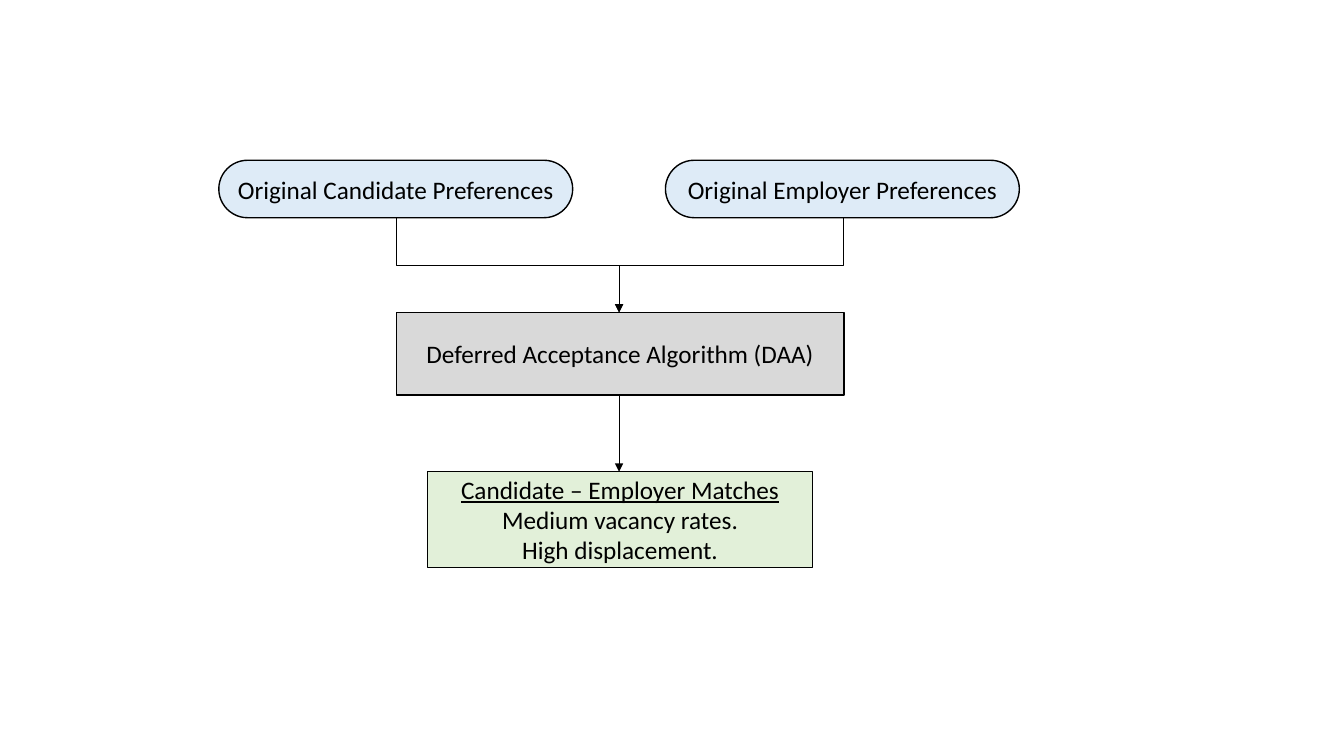
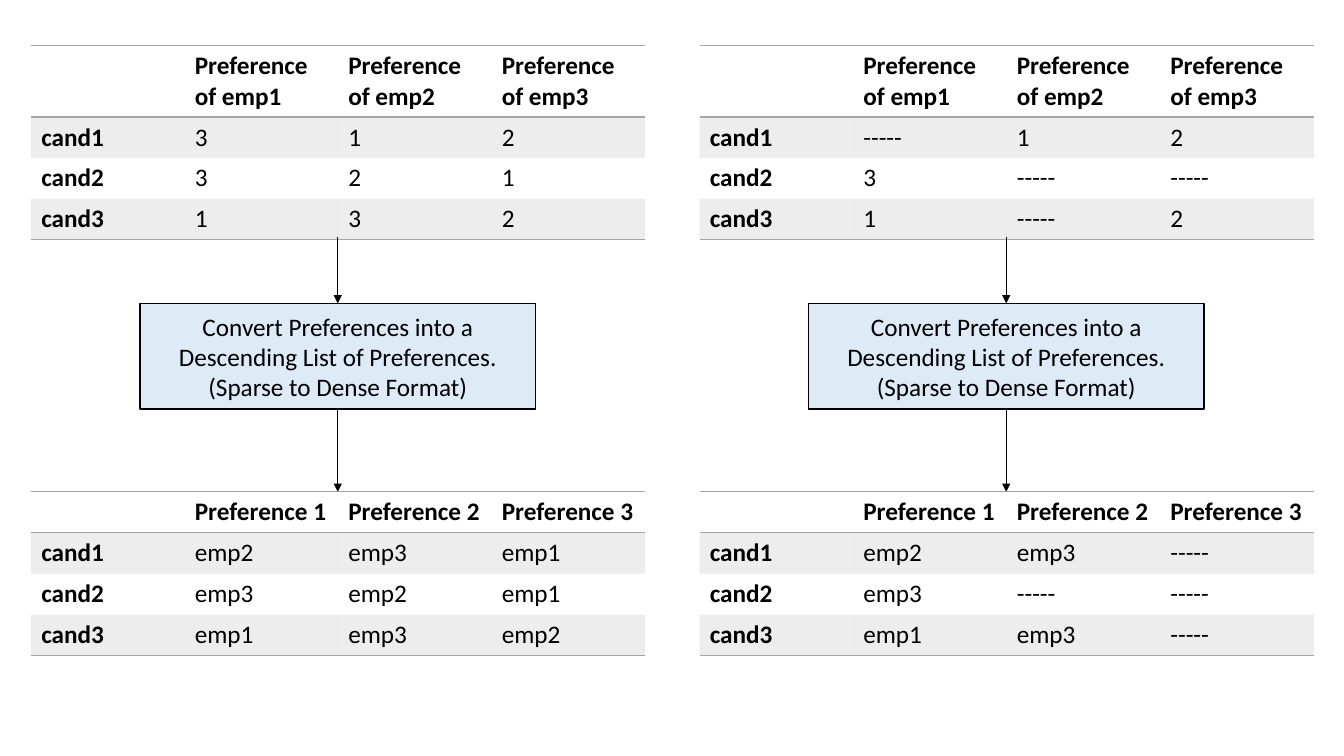
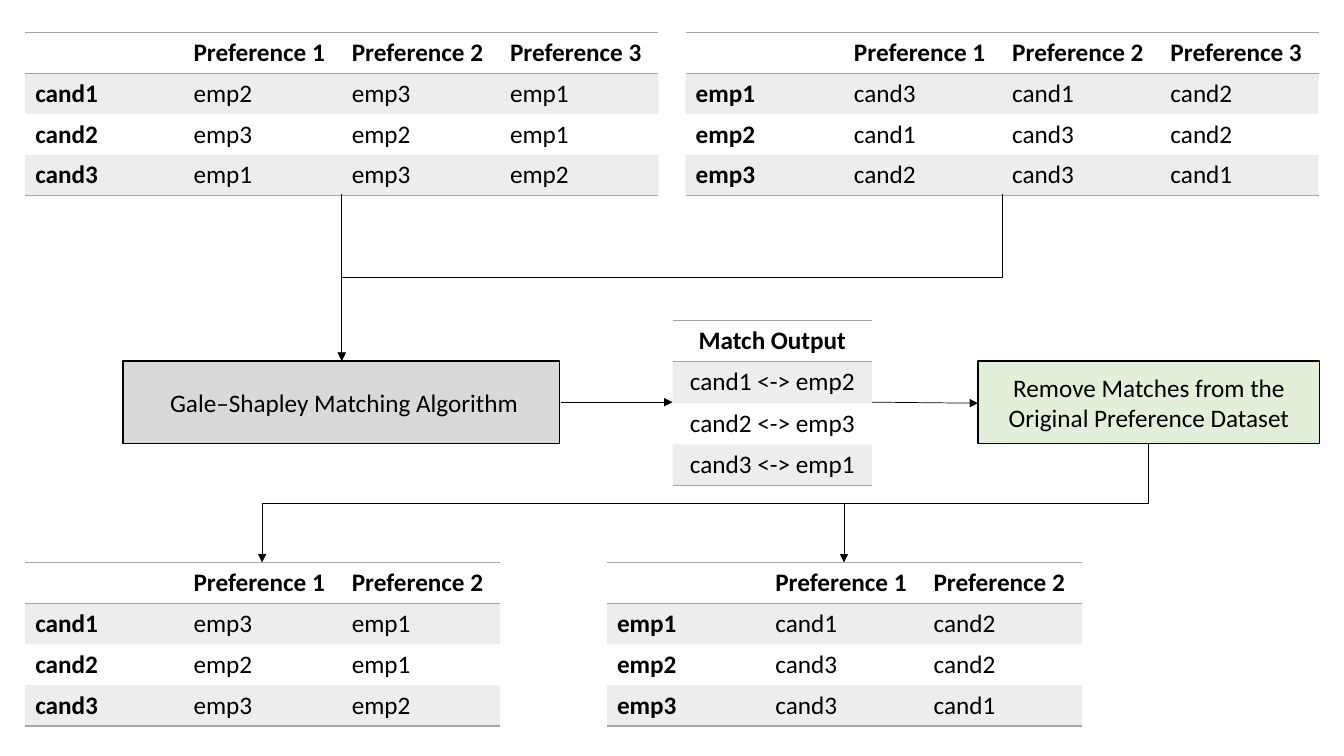
import pptx
import pptx.util
import pptx.dml.color
import pptx.enum.shapes
import pptx.enum.text
import pptx.oxml.ns
import lxml.etree

Inches = pptx.util.Inches
Pt = pptx.util.Pt
RGBColor = pptx.dml.color.RGBColor
SHAPE = pptx.enum.shapes.MSO_SHAPE
CONNECTOR = pptx.enum.shapes.MSO_CONNECTOR
ALIGN = pptx.enum.text.PP_ALIGN
qn = pptx.oxml.ns.qn

BLACK = RGBColor(0x00, 0x00, 0x00)
GREY = RGBColor(0xD9, 0xD9, 0xD9)
BLUE = RGBColor(0xDE, 0xEB, 0xF7)
GREEN = RGBColor(0xE2, 0xF0, 0xD9)
RULE = RGBColor(0xA5, 0xA5, 0xA5)

FONT = "Calibri"
FONT_SIZE = Pt(18)
ROW_HEIGHT = 0.4
PLAIN_TABLE_STYLE = "{2D5ABB26-0587-4C30-8999-92F81FD0307C}"
NONE = "-----"


def add_span(para, text, bold=False, underline=False):
    span = para.add_run()
    span.text = text
    font = span.font
    font.name, font.size, font.color.rgb = FONT, FONT_SIZE, BLACK
    font.bold, font.underline = bold, underline


def add_box(page, left, top, width, height, fill, lines, kind=SHAPE.RECTANGLE, heading=False):
    """Outlined box with one centred paragraph per line."""
    box = page.shapes.add_shape(kind, Inches(left), Inches(top), Inches(width), Inches(height))
    if kind == SHAPE.ROUNDED_RECTANGLE:
        box.adjustments[0] = 0.5
    box.shadow.inherit = False
    box.fill.solid()
    box.fill.fore_color.rgb = fill
    box.line.color.rgb = BLACK
    box.line.width = Pt(1)
    frame = box.text_frame
    frame.word_wrap = True
    frame.vertical_anchor = pptx.enum.text.MSO_ANCHOR.MIDDLE
    for index, line in enumerate(lines):
        para = frame.add_paragraph() if index else frame.paragraphs[0]
        para.alignment = ALIGN.CENTER
        add_span(para, line, underline=heading and index == 0)


def style_arrow(arrow):
    arrow.line.color.rgb = BLACK
    arrow.line.width = Pt(0.5)
    properties = arrow.element.spPr
    lxml.etree.SubElement(properties.find(qn("a:ln")), qn("a:tailEnd"), type="triangle")
    lxml.etree.SubElement(properties, qn("a:effectLst"))


def add_arrow(page, x1, y1, x2, y2):
    arrow = page.shapes.add_connector(
        CONNECTOR.STRAIGHT, Inches(x1), Inches(y1), Inches(x2), Inches(y2))
    style_arrow(arrow)


def add_elbow(page, x1, y1, x2, y2):
    """Arrow that goes down, sideways and down: an elbow turned by a quarter."""
    middle_x, middle_y = (x1 + x2) / 2, (y1 + y2) / 2
    half_width, half_height = (y2 - y1) / 2, abs(x2 - x1) / 2
    turn = 90
    if x2 > x1:
        half_width, turn = -half_width, 270
    arrow = page.shapes.add_connector(
        CONNECTOR.ELBOW,
        Inches(middle_x - half_width), Inches(middle_y - half_height),
        Inches(middle_x + half_width), Inches(middle_y + half_height))
    arrow.element.spPr.find(qn("a:xfrm")).set("rot", str(turn * 60000))
    style_arrow(arrow)


def add_cell_rule(cell, side):
    line = lxml.etree.SubElement(cell._tc.get_or_add_tcPr(), qn("a:" + side), w=str(Pt(1)))
    fill = lxml.etree.SubElement(line, qn("a:solidFill"))
    lxml.etree.SubElement(fill, qn("a:srgbClr"), val=str(RULE))


def fill_cell(cell, shaded):
    if not shaded:
        cell.fill.background()
        return
    cell.fill.solid()
    cell.fill.fore_color.rgb = RULE
    color = cell._tc.tcPr.find(qn("a:solidFill")).find(qn("a:srgbClr"))
    lxml.etree.SubElement(color, qn("a:alpha"), val="20000")


def add_grid(page, left, top, width, rows, row_height=ROW_HEIGHT, header_height=None):
    """Table with grey rules around the header and below, and shaded odd rows."""
    header_height = header_height or row_height
    height = header_height + row_height * (len(rows) - 1)
    columns = len(rows[0])
    frame = page.shapes.add_table(
        len(rows), columns, Inches(left), Inches(top), Inches(width), Inches(height))
    table = frame.table
    frame.element.find(".//" + qn("a:tableStyleId")).text = PLAIN_TABLE_STYLE
    for r, texts in enumerate(rows):
        table.rows[r].height = Inches(row_height if r else header_height)
        for c, text in enumerate(texts):
            cell = table.cell(r, c)
            if r == 0:
                add_cell_rule(cell, "lnT")
            if r in (0, len(rows) - 1):
                add_cell_rule(cell, "lnB")
            fill_cell(cell, r % 2 == 1)
            para = cell.text_frame.paragraphs[0]
            if columns == 1:
                para.alignment = ALIGN.CENTER
            if text:
                add_span(para, text, bold=r == 0 or (c == 0 and columns > 1))


def preference_rows(name, choices, header="Preference {}"):
    """Header row, then one numbered row per candidate or employer."""
    titles = [header.format(n + 1) for n in range(len(choices[0]))]
    return [[""] + titles] + [[f"{name}{n}"] + row for n, row in enumerate(choices, 1)]


def build_overview(page):
    center = 6.14
    # Inputs
    for left, side in ((2.17, "Candidate"), (6.6, "Employer")):
        add_box(page, left, 1.59, 3.51, 0.57, BLUE, [f"Original {side} Preferences"],
                SHAPE.ROUNDED_RECTANGLE)
        add_elbow(page, left + 1.76, 2.16, center, 3.1)
    # Algorithm and result
    add_box(page, 3.93, 3.1, 4.44, 0.82, GREY, ["Deferred Acceptance Algorithm (DAA)"])
    add_arrow(page, center, 3.92, center, 4.68)
    add_box(page, 4.24, 4.68, 3.82, 0.95, GREEN,
            ["Candidate – Employer Matches", "Medium vacancy rates.", "High displacement."],
            heading=True)


def build_conversion(page):
    complete = (
        [["3", "1", "2"], ["3", "2", "1"], ["1", "3", "2"]],
        [["emp2", "emp3", "emp1"], ["emp3", "emp2", "emp1"], ["emp1", "emp3", "emp2"]])
    partial = (
        [[NONE, "1", "2"], ["3", NONE, NONE], ["1", NONE, "2"]],
        [["emp2", "emp3", NONE], ["emp3", NONE, NONE], ["emp1", "emp3", NONE]])
    for left, (ranks, ordered) in ((0.31, complete), (6.94, partial)):
        center = left + 3.04
        add_grid(page, left, 0.45, 6.09,
                 preference_rows("cand", ranks, "Preference of emp{}"), header_height=0.7)
        add_arrow(page, center, 2.35, center, 3.01)
        add_box(page, center - 1.96, 3.01, 3.92, 1.05, BLUE,
                ["Convert Preferences into a Descending List of Preferences. "
                 "(Sparse to Dense Format)"])
        add_arrow(page, center, 4.06, center, 4.88)
        add_grid(page, left, 4.88, 6.09, preference_rows("cand", ordered))


def build_matching(page):
    # Preferences before matching
    add_grid(page, 0.25, 0.32, 6.28, preference_rows("cand", [
        ["emp2", "emp3", "emp1"], ["emp3", "emp2", "emp1"], ["emp1", "emp3", "emp2"]]))
    add_grid(page, 6.8, 0.32, 6.28, preference_rows("emp", [
        ["cand3", "cand1", "cand2"], ["cand1", "cand3", "cand2"], ["cand2", "cand3", "cand1"]]))
    add_arrow(page, 3.39, 1.92, 3.39, 3.58)
    add_elbow(page, 9.94, 1.92, 3.39, 3.58)
    # Matching and removal
    add_box(page, 1.22, 3.58, 4.33, 0.82, GREY, [" Gale–Shapley Matching Algorithm"])
    add_arrow(page, 5.56, 3.99, 6.67, 3.99)
    add_grid(page, 6.67, 3.18, 1.98,
             [["Match Output"], ["cand1 <-> emp2"], ["cand2 <-> emp3"], ["cand3 <-> emp1"]],
             row_height=0.41)
    add_arrow(page, 8.65, 3.99, 9.7, 4)
    add_box(page, 9.7, 3.58, 3.39, 0.82, GREEN,
            ["Remove Matches from the Original Preference Dataset"])
    # Preferences that remain
    remaining = (
        (0.25, "cand", [["emp3", "emp1"], ["emp2", "emp1"], ["emp3", "emp2"]]),
        (6.02, "emp", [["cand1", "cand2"], ["cand3", "cand2"], ["cand3", "cand1"]]))
    for left, name, choices in remaining:
        add_grid(page, left, 5.58, 4.71, preference_rows(name, choices))
        add_elbow(page, 11.39, 4.41, left + 2.35, 5.58)


def main():
    deck = pptx.Presentation()
    deck.slide_width, deck.slide_height = Inches(13.33), Inches(7.5)
    for build in (build_overview, build_conversion, build_matching):
        build(deck.slides.add_slide(deck.slide_layouts[6]))
    deck.save("out.pptx")


main()
